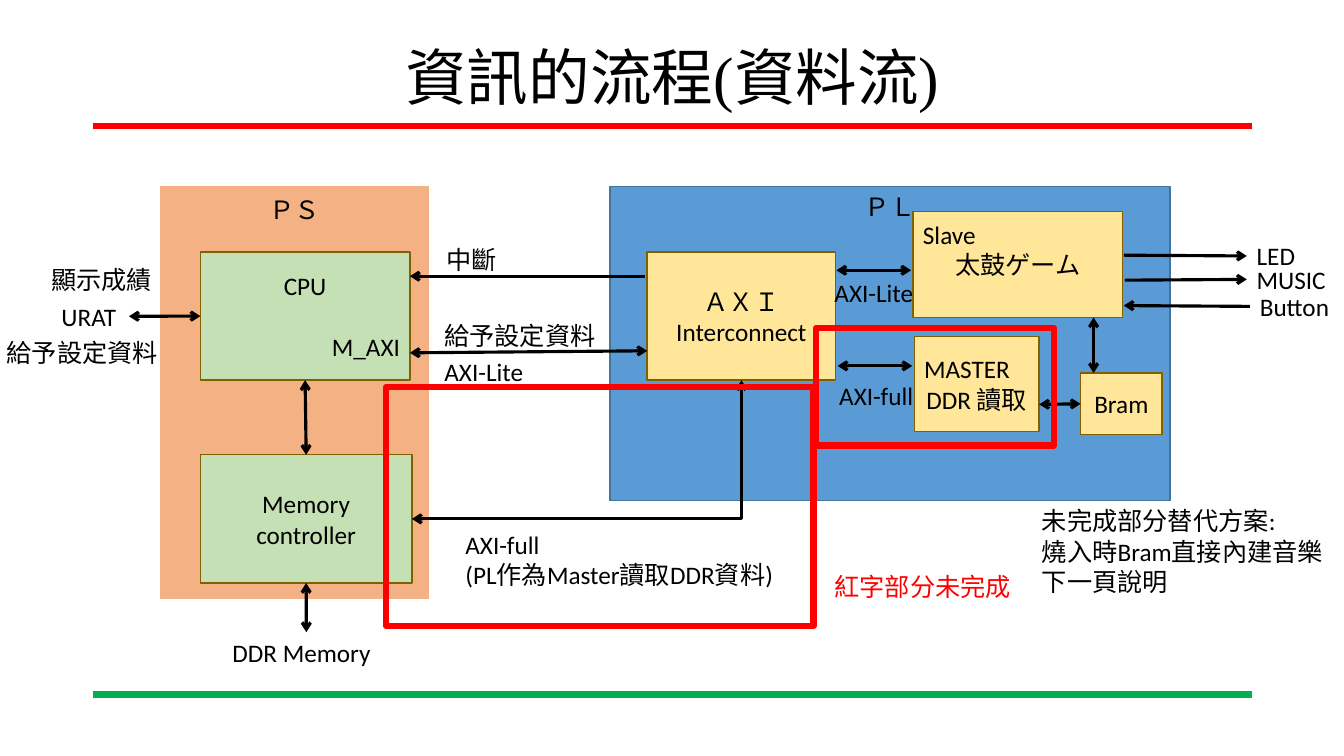
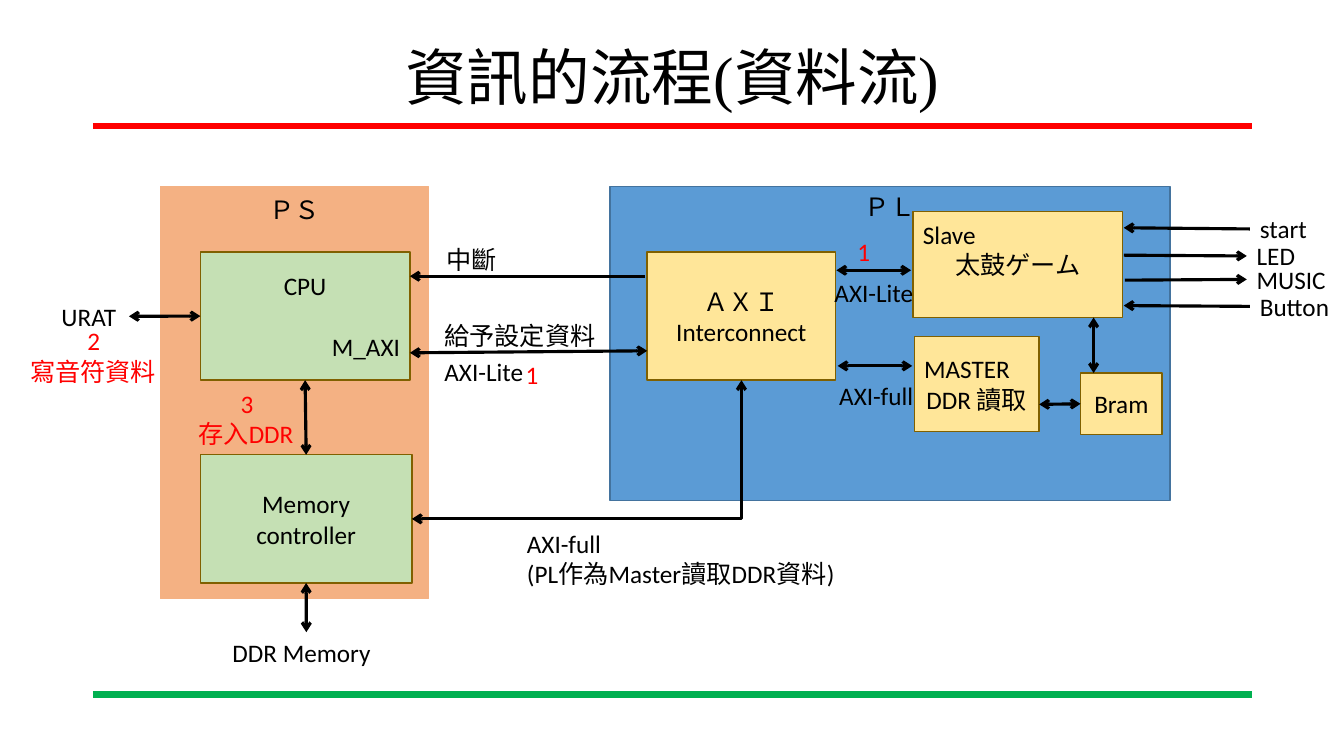
from lxml import etree
from pptx import Presentation
from pptx.dml import color
from pptx.enum import shapes, text
from pptx.oxml import ns
from pptx.util import Cm, Pt

BLACK, RED, GREEN = "000000", "FF0000", "00B050"
ORANGE, BLUE, NAVY = "F4B183", "5B9BD5", "43739E"
YELLOW, LIME, BROWN = "FFE699", "C5E0B4", "806000"
ALIGN = {"l": text.PP_ALIGN.LEFT, "c": text.PP_ALIGN.CENTER, "r": text.PP_ALIGN.RIGHT}
TOP, LEFT, BOTTOM, RIGHT = range(4)


def rgb(code):
    return color.RGBColor.from_string(code)


def write(frame, words, align="l", size=18, ink=BLACK, font="Calibri", gap=0, space=None):
    """One letter of align per line; the last letter serves the rest."""
    for i, line in enumerate(words.split("\n")):
        para = frame.paragraphs[0] if i == 0 else frame.add_paragraph()
        para.alignment = ALIGN[align[min(i, len(align) - 1)]]
        if i and gap:
            para.space_before = Pt(gap)
        if space:
            para.line_spacing = space
        run = para.add_run()
        run.text = line
        run.font.size, run.font.name = Pt(size), font
        run.font.color.rgb = rgb(ink)


class Deck:
    def __init__(self):
        self.file = Presentation()
        self.file.slide_width, self.file.slide_height = Cm(33.87), Cm(19.05)
        self.slide = None

    def page(self, title):
        self.slide = self.file.slides.add_slide(self.file.slide_layouts[6])
        for y, ink in ((3.18, RED), (17.5, GREEN)):
            self.line((2.34, y), (31.55, y), ink=ink, width=4.5, heads="")
        frame = self.slide.shapes.add_textbox(Cm(2.34), Cm(1.02), Cm(29.21), Cm(2.01)).text_frame
        frame.word_wrap = True
        frame.vertical_anchor = text.MSO_ANCHOR.MIDDLE
        write(frame, title, align="c", size=44, font="Times New Roman", space=0.9)

    def box(self, x, y, w, h, words="", fill=None, edge=BROWN, width=1, top=None, **style):
        """A rectangle; top pins its text at that distance below the upper side."""
        rect = self.slide.shapes.add_shape(
            shapes.MSO_SHAPE.RECTANGLE, Cm(x), Cm(y), Cm(w), Cm(h))
        rect.shadow.inherit = False
        if fill:
            rect.fill.solid()
            rect.fill.fore_color.rgb = rgb(fill)
        else:
            rect.fill.background()
        rect.line.color.rgb = rgb(edge)
        rect.line.width = Pt(width)
        frame = rect.text_frame
        frame.vertical_anchor = text.MSO_ANCHOR.MIDDLE
        if top is not None:
            frame.vertical_anchor = text.MSO_ANCHOR.TOP
            frame.margin_top = Cm(top)
        if words:
            write(frame, words, **{"align": "c", **style})
        return rect

    def label(self, x, y, w, words, h=1.02, wrap=False, **style):
        frame = self.slide.shapes.add_textbox(Cm(x), Cm(y), Cm(w), Cm(h)).text_frame
        frame.word_wrap = wrap
        frame.auto_size = text.MSO_AUTO_SIZE.SHAPE_TO_FIT_TEXT
        write(frame, words, **style)

    def line(self, start, end, ink=BLACK, width=2.25, heads="both", bent=False):
        """Each end is a point (x, y) or a joint (rectangle, side)."""
        joints = [hasattr(stop[0], "shape_id") for stop in (start, end)]
        spots = [Cm(v) for stop, joint in zip((start, end), joints)
                 for v in ((0, 0) if joint else stop)]
        kind = shapes.MSO_CONNECTOR.ELBOW if bent else shapes.MSO_CONNECTOR.STRAIGHT
        wire = self.slide.shapes.add_connector(kind, *spots)
        if joints[0]:
            wire.begin_connect(*start)
        if joints[1]:
            wire.end_connect(*end)
        if bent:
            self.bend(wire)
        wire.line.color.rgb = rgb(ink)
        wire.line.width = Pt(width)
        props = wire.element.spPr
        stroke = props.find(ns.qn("a:ln"))
        if heads == "both":
            etree.SubElement(stroke, ns.qn("a:headEnd"), type="arrow")
        if heads:
            etree.SubElement(stroke, ns.qn("a:tailEnd"), type="arrow")
        etree.SubElement(props, ns.qn("a:effectLst"))

    def bend(self, wire):
        """One corner: down from the start, then left to the end."""
        x, y, w, h = wire.left, wire.top, wire.width, wire.height
        wire.left, wire.top = x + (w - h) // 2, y + (h - w) // 2
        wire.width, wire.height = h, w
        props = wire.element.spPr
        frame = props.find(ns.qn("a:xfrm"))
        frame.attrib.pop("flipH", None)
        frame.set("rot", "5400000")
        props.find(ns.qn("a:prstGeom")).set("prst", "bentConnector2")


def flow(deck, note):
    """The diagram on both slides; note is the left and top of the AXI-full note."""
    deck.page("資訊的流程(資料流)")

    # Areas and blocks
    deck.box(4.04, 4.7, 6.76, 10.39, "ＰＳ", fill=ORANGE, edge=ORANGE, top=0.2)
    deck.box(15.37, 4.7, 14.12, 7.92, "ＰＬ", fill=BLUE, edge=NAVY, top=0.13)
    axi = deck.box(16.31, 6.35, 4.75, 3.23, "ＡＸＩ\nInterconnect", fill=YELLOW)
    cpu = deck.box(5.05, 6.35, 5.28, 3.23, "CPU\nM_AXI", fill=LIME, align="cr", gap=22)
    mem = deck.box(5.05, 11.46, 5.33, 3.23, "Memory controller", fill=LIME)
    bram = deck.box(27.23, 9.4, 2.06, 1.55, "Bram", fill=YELLOW)
    deck.box(23.01, 5.33, 5.28, 2.67, "Slave\n太鼓ゲーム", fill=YELLOW, align="lc", top=0.2)
    deck.box(23.04, 8.48, 3.15, 2.39, "MASTER\nDDR 讀取", fill=YELLOW, align="lc")

    # Two-way links
    for start, end in (
        ((16.31, 8.84), (10.33, 8.89)),
        ((21.08, 6.81), (22.96, 6.81)),
        ((21.11, 9.22), (22.99, 9.22)),
        ((27.56, 8), (27.56, 9.4)),
        ((26.19, 10.19), (bram, LEFT)),
        ((mem, TOP), (cpu, BOTTOM)),
        ((7.72, 15.93), (mem, BOTTOM)),
        ((cpu, LEFT), (3.25, 7.97)),
    ):
        deck.line(start, end)
    deck.line((axi, BOTTOM), (mem, RIGHT), bent=True)

    # One-way links
    for start, end in (
        ((16.26, 6.96), (10.33, 6.96)),
        ((28.32, 6.43), (31.42, 6.45)),
        ((28.35, 7.06), (31.42, 7.04)),
        ((31.5, 7.72), (28.32, 7.7)),
    ):
        deck.line(start, end, heads="end")

    # Labels
    for x, y, w, words in (
        (11, 6.02, 1.8, "中斷"),
        (10.95, 7.95, 4.37, "給予設定資料"),
        (10.95, 8.86, 2.51, "AXI-Lite"),
        (20.78, 6.86, 2.51, "AXI-Lite"),
        (20.9, 9.45, 2.41, "AXI-full"),
        (5.61, 15.93, 4.19, "DDR Memory"),
        (1.3, 7.47, 1.9, "URAT"),
        (31.42, 5.94, 1.5, "LED"),
        (31.42, 6.53, 2.26, "MUSIC"),
        (31.5, 7.21, 2.29, "Button"),
    ):
        deck.label(x, y, w, words)
    deck.label(*note, 9.65, "AXI-full\n(PL作為Master讀取DDR資料)", h=1.8, wrap=True)


def main():
    deck = Deck()

    # Slide 1: unfinished parts framed in red
    flow(deck, (11.48, 13.21))
    deck.label(-0.08, 8.38, 4.37, "給予設定資料")
    deck.label(1.04, 6.53, 3.07, "顯示成績")
    deck.label(26.01, 12.62, 7.67, "未完成部分替代方案:\n燒入時Bram直接內建音樂\n下一頁說明",
               h=2.57, wrap=True)
    for spot in ((20.57, 8.26, 5.99, 2.97), (9.73, 9.75, 10.77, 6.02)):
        deck.box(*spot, edge=RED, width=4.5)
    deck.label(20.78, 14.27, 5, "紅字部分未完成", ink=RED)

    # Slide 2: numbered steps in red
    flow(deck, (13.03, 13.18))
    deck.line((31.5, 5.77), (28.32, 5.74), heads="end")
    deck.label(31.5, 5.26, 1.7, "start")
    for x, y in ((13, 8.92), (21.36, 5.84)):
        deck.label(x, y, 0.84, "1", ink=RED)
    deck.label(0.51, 8.08, 3.71, "2\n寫音符資料", h=1.8, align="cl", ink=RED)
    deck.label(4.75, 9.65, 2.95, "3\n存入DDR", h=1.8, wrap=True, align="cl", ink=RED)

    deck.file.save("out.pptx")


if __name__ == "__main__":
    main()
